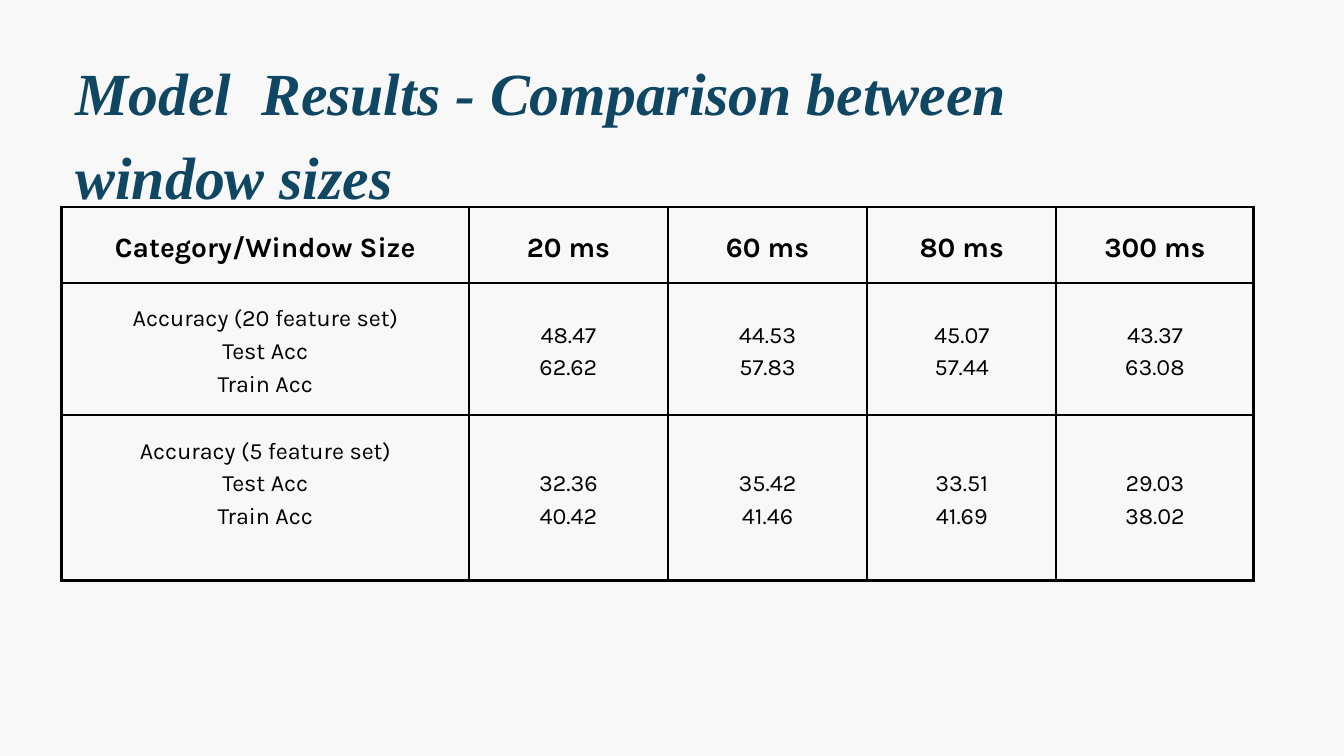
from lxml.etree import SubElement
from pptx import Presentation
from pptx.dml.color import RGBColor
from pptx.enum.text import MSO_ANCHOR, PP_ALIGN
from pptx.oxml.ns import qn
from pptx.util import Emu, Pt

PX = 9525
BACKGROUND = RGBColor(0xF8, 0xF8, 0xF8)
NAVY = RGBColor(0x0F, 0x46, 0x62)
BLACK = RGBColor(0, 0, 0)

INSET = 20
GRID_WIDTH = 4
BODY_LEADING = 35
LINE_BELOW_LABELS = 47
COLUMN_WIDTHS = [582, 284, 285, 270, 282]
ROW_HEIGHTS = [108, 189, 236]
RESULTS = [
    ["Category/Window Size", "20 ms", "60 ms", "80 ms", "300 ms"],
    ["Accuracy (20 feature set)\nTest Acc\nTrain Acc",
     "48.47\n62.62", "44.53\n57.83", "45.07\n57.44", "43.37\n63.08"],
    ["Accuracy (5 feature set)\nTest Acc\nTrain Acc",
     "32.36\n40.42", "35.42\n41.46", "33.51\n41.69", "29.03\n38.02"],
]


def px(length):
    return Emu(length * PX)


def style(paragraph, font_name, size, leading, color, bold, italic=False):
    paragraph.line_spacing = Pt(leading)
    font = paragraph.font
    font.name = font_name
    font.size = Pt(size)
    font.bold = bold
    font.italic = italic
    font.color.rgb = color


def draw_borders(cell):
    properties = cell._tc.get_or_add_tcPr()
    for side in ("lnL", "lnR", "lnT", "lnB"):
        line = SubElement(properties, qn(f"a:{side}"), w=str(px(GRID_WIDTH)))
        fill = SubElement(line, qn("a:solidFill"))
        SubElement(fill, qn("a:srgbClr"), val=str(BLACK))


def fill_cell(cell, text, is_header):
    draw_borders(cell)
    cell.fill.background()
    cell.vertical_anchor = MSO_ANCHOR.MIDDLE
    cell.margin_left = cell.margin_right = px(INSET)
    cell.margin_top = cell.margin_bottom = px(INSET)
    cell.text = text
    for paragraph in cell.text_frame.paragraphs:
        paragraph.alignment = PP_ALIGN.CENTER
        if is_header:
            style(paragraph, "Karla", 30, 42, BLACK, True)
        else:
            style(paragraph, "Karla", 25, BODY_LEADING, BLACK, False)


def add_results(slide, left, top):
    table = slide.shapes.add_table(
        len(ROW_HEIGHTS), len(COLUMN_WIDTHS), px(left), px(top),
        px(sum(COLUMN_WIDTHS)), px(sum(ROW_HEIGHTS))).table
    table.first_row = table.horz_banding = False
    for column, width in zip(table.columns, COLUMN_WIDTHS):
        column.width = px(width)
    for row, height in zip(table.rows, ROW_HEIGHTS):
        row.height = px(height)
    for r, texts in enumerate(RESULTS):
        for c, text in enumerate(texts):
            fill_cell(table.cell(r, c), text, r == 0)
    table.cell(2, 0).margin_bottom = px(INSET + LINE_BELOW_LABELS)


def add_title(slide, left, top, width, height):
    frame = slide.shapes.add_textbox(
        px(left), px(top), px(width), px(height)).text_frame
    frame.word_wrap = True
    frame.margin_left = frame.margin_right = 0
    frame.margin_top = frame.margin_bottom = 0
    frame.text = "Model  Results - Comparison between window sizes"
    style(frame.paragraphs[0], "Times New Roman", 64, 89.6, NAVY, True, True)


def main():
    presentation = Presentation()
    presentation.slide_width = px(1920)
    presentation.slide_height = px(1080)
    slide = presentation.slides.add_slide(presentation.slide_layouts[6])
    slide.background.fill.solid()
    slide.background.fill.fore_color.rgb = BACKGROUND
    add_results(slide, 88, 296)
    add_title(slide, 108, 63, 1477, 233)
    presentation.save("out.pptx")


if __name__ == "__main__":
    main()
